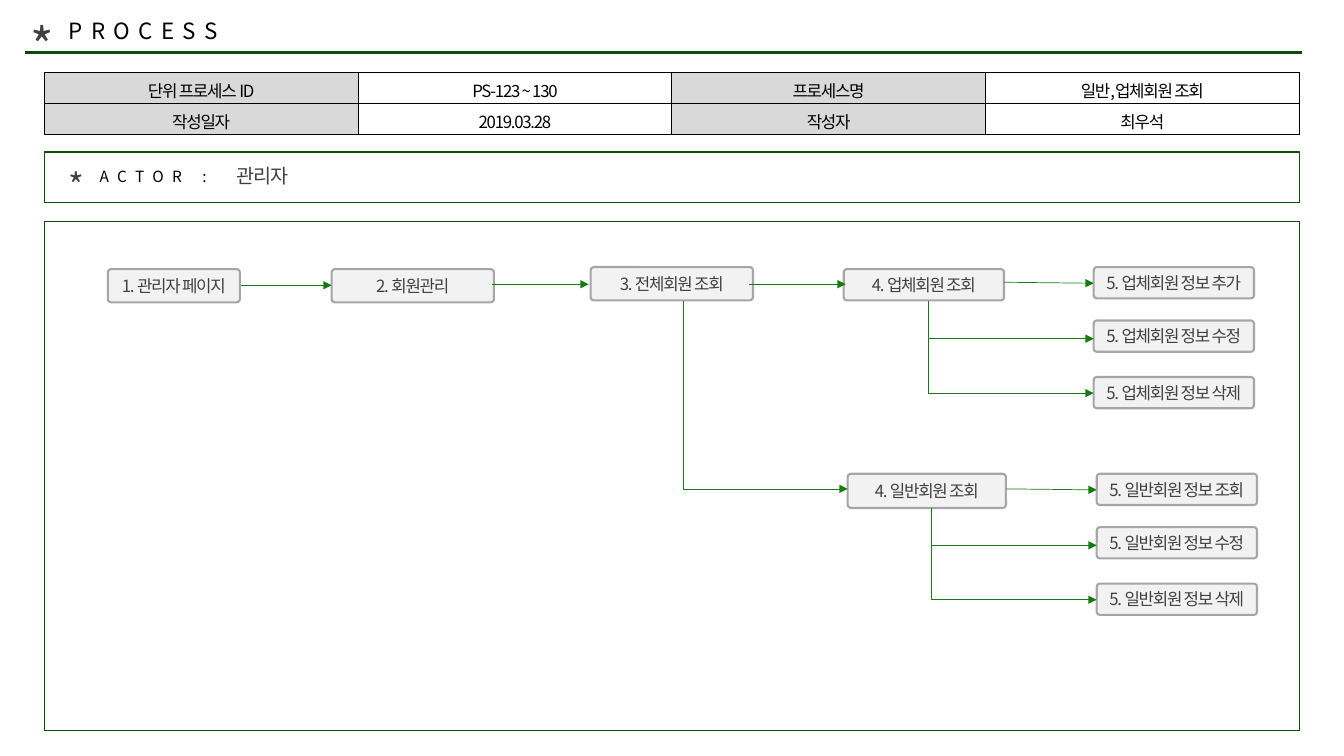
from lxml import etree
from pptx import Presentation, util as u
from pptx.dml.color import RGBColor
from pptx.enum import shapes, text
from pptx.oxml.ns import qn

CELL = u.Inches(0.1)  # the slide is a grid of square cells
SLIDE_COLUMNS, SLIDE_ROWS = 133.33, 75
MARGIN, CONTENT_WIDTH = 4.4, 124.5
FONT = "Noto Sans CJK KR"
TIGHT, WIDE = -0.9, 6
BLACK, INK, FRAME, ARROW = "000000", "404040", "0C4B09", "147B0F"
STEP_FILL, STEP_EDGE, LABEL_FILL = "F2F2F2", "A6A6A6", "D9D9D9"

PROCESS_INFO = (
    ("단위 프로세스 ID", "PS-123 ~ 130", "프로세스명", "일반,업체회원 조회"),
    ("작성일자", "2019.03.28", "작성자", "최우석"),
)
MAIN_STEPS = (
    ("1. 관리자 페이지", (10.7, 26.7, 13.1, 3.3)),
    ("2. 회원관리", (32.9, 26.7, 16.1, 3.3)),
    ("3. 전체회원 조회", (58.6, 26.5, 16.1, 3.3)),
)
MAIN_ARROWS = ((23.9, 32.9, 28.3), (48.8, 58.4, 28.2), (74.3, 83.9, 28.2))
TASK_ROWS = (0, 5.3, 10.9)
ARROW_ROWS = (1.5, 7.1, 12.5)


def grid(*cells):
    return [round(CELL * cell) for cell in cells]


def color(hex_value):
    return RGBColor.from_string(hex_value)


def write(frame, words, size, ink=INK, spacing=TIGHT, align=text.PP_ALIGN.LEFT):
    frame.word_wrap = True
    paragraph = frame.paragraphs[0]
    paragraph.text = words
    paragraph.alignment = align
    font = paragraph.font
    font.size, font.name, font.bold = u.Pt(size), FONT, False
    font.color.rgb = color(ink)
    defaults = paragraph._p.pPr.find(qn("a:defRPr"))
    defaults.set("spc", str(round(spacing * 100)))
    etree.SubElement(defaults, qn("a:ea"), typeface=FONT)


def label(slide, box, words, size, **style):
    write(slide.shapes.add_textbox(*grid(*box)).text_frame, words, size, **style)


def title(slide, box, words):
    heading = slide.shapes.title
    heading.left, heading.top, heading.width, heading.height = grid(*box)
    frame = heading.text_frame
    frame.auto_size = text.MSO_AUTO_SIZE.NONE
    frame.vertical_anchor = text.MSO_ANCHOR.TOP
    write(frame, words, 16, ink=BLACK, spacing=WIDE)


def panel(slide, top, height):
    outline = slide.shapes.add_shape(
        shapes.MSO_SHAPE.RECTANGLE, *grid(MARGIN, top, CONTENT_WIDTH, height))
    outline.shadow.inherit = False
    outline.fill.background()
    outline.line.color.rgb = color(FRAME)
    outline.line.width = u.Pt(1)


def step(slide, box, words):
    node = slide.shapes.add_shape(shapes.MSO_SHAPE.ROUNDED_RECTANGLE, *grid(*box))
    node.adjustments[0] = 0.1
    node.shadow.inherit = False
    node.fill.solid()
    node.fill.fore_color.rgb = color(STEP_FILL)
    node.line.color.rgb = color(STEP_EDGE)
    node.line.width = u.Pt(1.5)
    frame = node.text_frame
    frame.vertical_anchor = text.MSO_ANCHOR.MIDDLE
    frame.margin_left = frame.margin_right = u.Inches(0.04)
    frame.margin_top = frame.margin_bottom = u.Inches(0.04)
    write(frame, words, 12, align=text.PP_ALIGN.CENTER)


def line(slide, start, end, ink=ARROW, weight=0.5, arrow=False):
    link = slide.shapes.add_connector(
        shapes.MSO_CONNECTOR.STRAIGHT, *grid(*start, *end))
    link.line.color.rgb = color(ink)
    link.line.width = u.Pt(weight)
    if arrow:
        etree.SubElement(link.line._get_or_add_ln(), qn("a:tailEnd"), type="triangle")
    etree.SubElement(link._element.spPr, qn("a:effectLst"))


def add_borders(cell):
    properties = cell._tc.get_or_add_tcPr()
    for index, side in enumerate(("lnL", "lnR", "lnT", "lnB")):
        border = etree.Element(qn(f"a:{side}"), w=str(u.Pt(0.5)))
        fill = etree.SubElement(border, qn("a:solidFill"))
        etree.SubElement(fill, qn("a:srgbClr"), val=BLACK)
        properties.insert(index, border)


def info_table(slide):
    table = slide.shapes.add_table(
        2, 4, *grid(MARGIN, 7.2, CONTENT_WIDTH, 6.1)).table
    table.first_row = table.horz_banding = False
    for row, values in enumerate(PROCESS_INFO):
        for column, value in enumerate(values):
            cell = table.cell(row, column)
            cell.vertical_anchor = text.MSO_ANCHOR.MIDDLE
            cell.margin_top, cell.margin_bottom = u.Inches(0.05), 0
            if column % 2 == 0:
                cell.fill.solid()
                cell.fill.fore_color.rgb = color(LABEL_FILL)
            else:
                cell.fill.background()
            add_borders(cell)
            write(cell.text_frame, value, 12, ink=BLACK,
                  align=text.PP_ALIGN.CENTER)


def branch(slide, left, top, parent_box, member, actions):
    """Draw a member lookup step and the tasks that fork from it."""
    step(slide, parent_box, f"4. {member} 조회")
    trunk = left - 16.4
    parent_right = parent_box[0] + parent_box[2]
    line(slide, (trunk, top + 3.4), (trunk, top + ARROW_ROWS[-1]))
    for index, action in enumerate(actions):
        step(slide, (left, top + TASK_ROWS[index], 15.9, 3.1),
             f"5. {member} 정보 {action}")
        start = trunk if index else parent_right
        arrow_row = top + ARROW_ROWS[index]
        drop = 0 if index else 0.1
        line(slide, (start, arrow_row), (left, arrow_row + drop), arrow=True)


def main():
    deck = Presentation()
    deck.slide_width, deck.slide_height = grid(SLIDE_COLUMNS, SLIDE_ROWS)
    slide = deck.slides.add_slide(deck.slide_layouts[5])

    line(slide, (2.5, 5.2), (129.2, 5.2), ink=FRAME, weight=2.25)
    label(slide, (2, 1, 5.2, 7.1), "*", 36)
    title(slide, (5.8, 1.2, 43.2, 3.7), "PROCESS")
    info_table(slide)

    label(slide, (5.8, 15.9, 5.2, 5), "*", 24)
    label(slide, (8.9, 16.1, 13.3, 2.9), "ACTOR :", 11, ink=BLACK, spacing=WIDE)
    panel(slide, 15.1, 5)
    label(slide, (22.5, 15.8, 43.2, 3.4), "관리자", 14)

    panel(slide, 22, 50.5)
    for words, box in MAIN_STEPS:
        step(slide, box, words)
    branch(slide, 108.5, 26.5, (83.7, 26.7, 15.9, 3.1), "업체회원",
           ("추가", "수정", "삭제"))
    branch(slide, 108.8, 47, (84.1, 47, 15.7, 3.4), "일반회원",
           ("조회", "수정", "삭제"))
    for start, end, row in MAIN_ARROWS:
        line(slide, (start, row), (end, row), arrow=True)
    line(slide, (67.8, 48.5), (67.8, 29.9))
    line(slide, (67.8, 48.5), (84.1, 48.5), arrow=True)

    deck.save("out.pptx")


if __name__ == "__main__":
    main()
